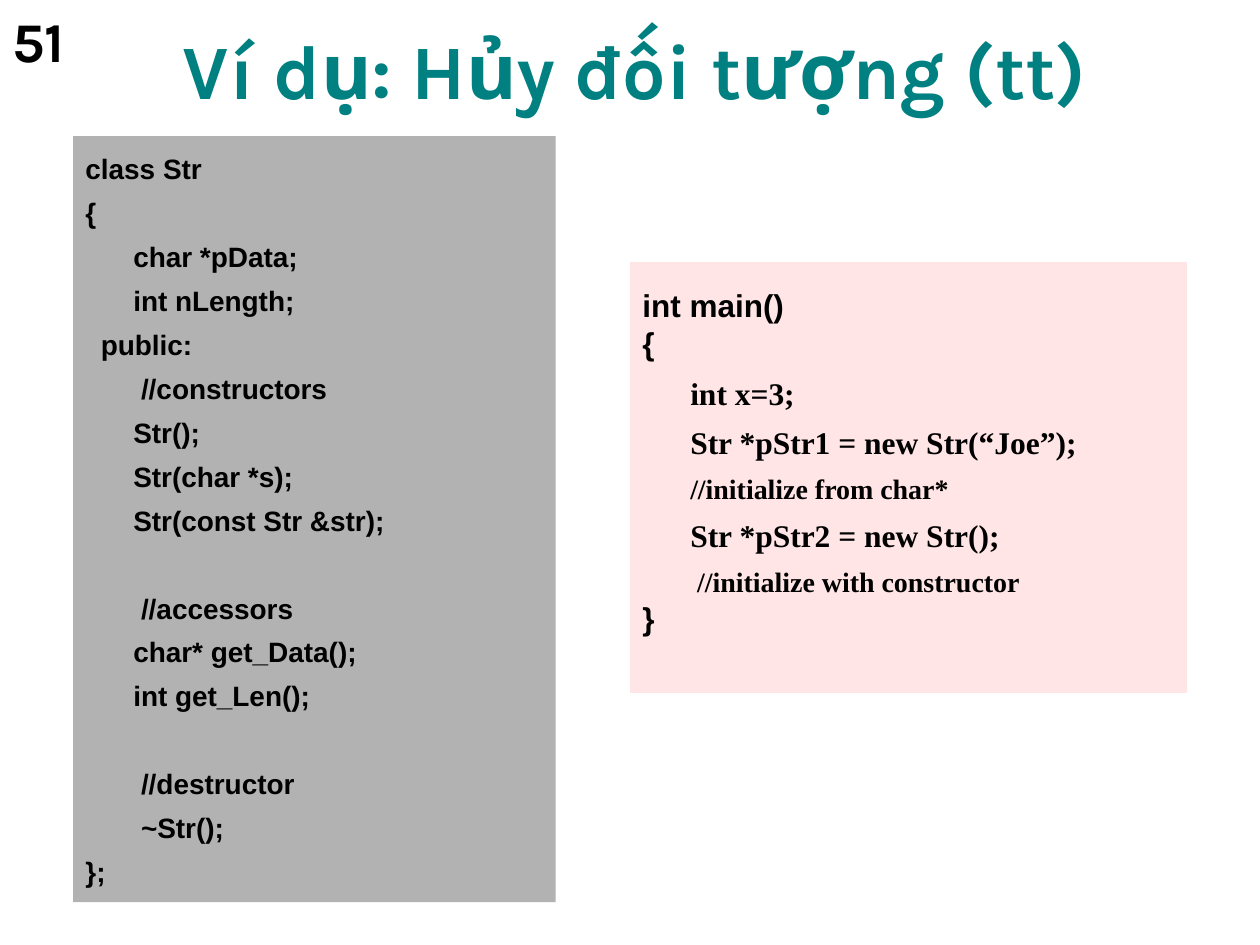
from pptx import Presentation
from pptx.dml.color import RGBColor
from pptx.enum import shapes, text
from pptx.util import Inches, Pt

COLORS = {"title": "008080", "ink": "000000", "class": "B2B2B2", "main": "FFE5E5"}
SANS, SERIF, HEAD = "Arial", "Times New Roman", "Karla"
GAP = 29.1

CLASS = [
    ("class Str", 0),
    ("{", 4),
    ("\tchar *pData;", 4),
    ("\tint nLength;", 4),
    ("  public:", 4),
    ("\t //constructors", 4),
    ("\tStr();", 4),
    ("\tStr(char *s);", 4),
    ("\tStr(const Str &str);", 4),
    ("\t //accessors", GAP),
    ("\tchar* get_Data();", 4),
    ("\tint get_Len();", 4),
    ("\t //destructor", GAP),
    ("\t ~Str();", 4),
    ("};", 4),
]

MAIN = [
    ("int main()", 18, SANS, 0.8),
    ("{", 18, SANS, 0.8),
    ("\tint x=3;", 18, SERIF, 1.1),
    ("\tStr *pStr1 = new Str(“Joe”);", 18, SERIF, 1.1),
    ("\t//initialize from char*", 16, SERIF, 1.1),
    ("\tStr *pStr2 = new Str();", 18, SERIF, 1.1),
    ("\t //initialize with constructor", 16, SERIF, 1.1),
    ("}", 18, SANS, 0.8),
]


def add_run(para, words, size, font, color="ink"):
    run = para.add_run()
    run.text = words
    run.font.size = Pt(size)
    run.font.name = font
    run.font.bold = True
    run.font.color.rgb = RGBColor.from_string(COLORS[color])


def add_label(slide, box, words, size, color, align, anchor):
    frame = slide.shapes.add_textbox(*map(Inches, box)).text_frame
    frame.word_wrap = True
    frame.vertical_anchor = anchor
    para = frame.paragraphs[0]
    para.alignment = align
    add_run(para, words, size, HEAD, color)


def add_panel(slide, box, fill, top):
    panel = slide.shapes.add_shape(shapes.MSO_SHAPE.RECTANGLE, *map(Inches, box))
    panel.shadow.inherit = False
    panel.fill.solid()
    panel.fill.fore_color.rgb = RGBColor.from_string(COLORS[fill])
    panel.line.fill.background()
    frame = panel.text_frame
    frame.word_wrap = True
    frame.vertical_anchor = text.MSO_ANCHOR.TOP
    frame.margin_top = Inches(top)
    return frame


def add_line(frame, first, words, size, font, lead, before):
    para = frame.paragraphs[0] if first else frame.add_paragraph()
    para.alignment = text.PP_ALIGN.LEFT
    para.line_spacing = lead
    para.space_before = Pt(before)
    props = para._p.get_or_add_pPr()
    props.set("marL", str(Inches(0.38)))
    props.set("indent", str(-Inches(0.38)))
    add_run(para, words, size, font)


def main():
    deck = Presentation()
    deck.slide_width, deck.slide_height = Inches(10), Inches(7.5)
    slide = deck.slides.add_slide(deck.slide_layouts[6])

    add_label(slide, (0.33, 0.17, 9.42, 0.79), "Ví dụ: Hủy đối tượng (tt)", 44,
              "title", text.PP_ALIGN.CENTER, text.MSO_ANCHOR.BOTTOM)

    frame = add_panel(slide, (0.58, 1.08, 3.83, 6.08), "class", 0.1)
    for i, (words, before) in enumerate(CLASS):
        add_line(frame, i == 0, words, 16, SANS, 1.1, before)

    frame = add_panel(slide, (5, 2.08, 4.42, 3.42), "main", 0.25)
    for i, (words, size, font, lead) in enumerate(MAIN):
        add_line(frame, i == 0, words, size, font, lead, size / 4 if i else 0)

    add_label(slide, (0, 0, 1.08, 0.71), "51", 32, "ink",
              text.PP_ALIGN.LEFT, text.MSO_ANCHOR.TOP)
    deck.save("out.pptx")


if __name__ == "__main__":
    main()
